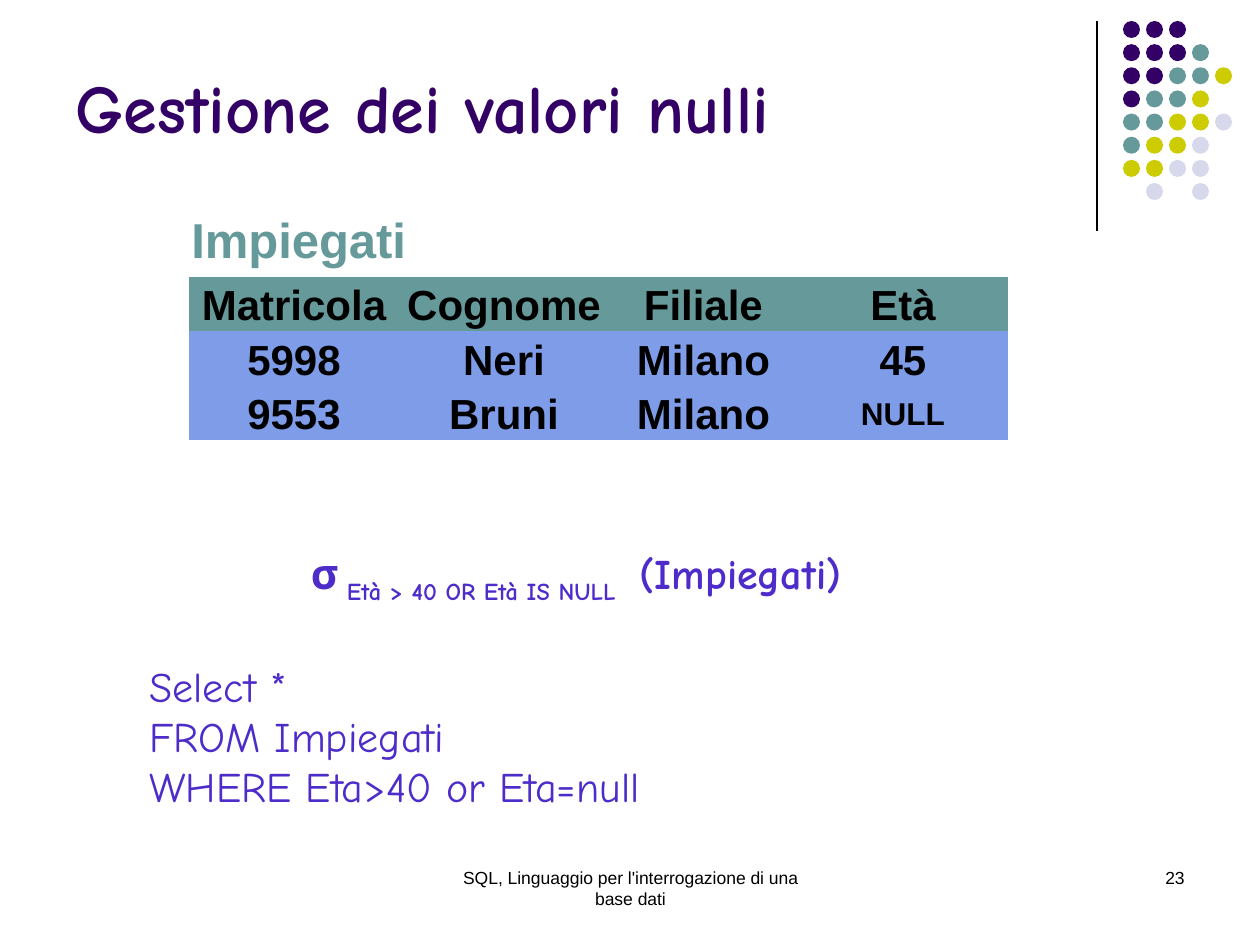
from lxml import etree
from pptx import Presentation
from pptx.dml.color import RGBColor
from pptx.enum.shapes import MSO_CONNECTOR, MSO_SHAPE
from pptx.enum.text import MSO_ANCHOR, PP_ALIGN
from pptx.oxml.ns import qn
from pptx.util import Emu, Pt

STRAIGHT, OVAL = MSO_CONNECTOR.STRAIGHT, MSO_SHAPE.OVAL
TOP, MIDDLE = MSO_ANCHOR.TOP, MSO_ANCHOR.MIDDLE
LEFT, CENTER, RIGHT = PP_ALIGN.LEFT, PP_ALIGN.CENTER, PP_ALIGN.RIGHT

BLACK = RGBColor(0x00, 0x00, 0x00)
PURPLE = RGBColor(0x33, 0x00, 0x66)
TEAL = RGBColor(0x66, 0x99, 0x99)
OLIVE = RGBColor(0xCC, 0xCC, 0x00)
LAVENDER = RGBColor(0xD8, 0xD8, 0xEC)
VIOLET = RGBColor(0x4E, 0x2C, 0xCA)
BLUE = RGBColor(0x7E, 0x9C, 0xE8)

SANS, COMIC = "Arial", "Comic Neue"
PLAIN_TABLE_STYLE = "{2D5ABB26-0587-4C30-8999-92F81FD0307C}"
DOT_COLORS = {"P": PURPLE, "T": TEAL, "O": OLIVE, "L": LAVENDER}
DOT_ROWS = ["PPP", "PPPT", "PPTTO", "PTTO", "TTOOL", "TOOL", "OOLL", " L L"]
DOT_SIZE = 17
COLUMN_WIDTHS = [210, 210, 189, 210]
EMPLOYEES = [
    ["Matricola", "Cognome", "Filiale", "Età"],
    ["5998", "Neri", "Milano", "45"],
    ["9553", "Bruni", "Milano", "NULL"],
]
QUERY = ["Select *", "FROM Impiegati", "WHERE Eta>40 or Eta=null"]


def px(length):
    """Turn px at 126 to the inch into EMU."""
    return Emu(round(length * 914400 / 126))


def style_font(font, size, name, color, bold=False):
    """Set size, typeface, colour and weight of a font."""
    font.size, font.name, font.bold = Pt(size), name, bold
    font.color.rgb = color


def add_text(slide, box, lines, size, name, color, bold=False,
             align=LEFT, anchor=TOP, wrap=True):
    """Add a text box with one paragraph per line and return its frame."""
    frame = slide.shapes.add_textbox(*map(px, box)).text_frame
    frame.word_wrap, frame.vertical_anchor = wrap, anchor
    frame.text = "\n".join(lines)
    for paragraph in frame.paragraphs:
        paragraph.alignment = align
        for run in paragraph.runs:
            style_font(run.font, size, name, color, bold)
    return frame


def add_divider(slide, box):
    """Draw the thin vertical rule down the left edge of the box."""
    left, top, _, height = box
    line = slide.shapes.add_connector(
        STRAIGHT, px(left), px(top), px(left), px(top + height))
    line.line.color.rgb, line.line.width = BLACK, Pt(0.75)
    etree.SubElement(line._element.spPr, qn("a:effectLst"))


def add_dots(slide, box):
    """Spread the coloured dot pattern evenly over the box."""
    left, top, width, height = box
    column_step = (width - DOT_SIZE) / (max(map(len, DOT_ROWS)) - 1)
    row_step = (height - DOT_SIZE) / (len(DOT_ROWS) - 1)
    for row, codes in enumerate(DOT_ROWS):
        for column, code in enumerate(codes):
            if code not in DOT_COLORS:
                continue
            dot = slide.shapes.add_shape(
                OVAL, px(left + column * column_step), px(top + row * row_step),
                px(DOT_SIZE), px(DOT_SIZE))
            dot.shadow.inherit = False
            dot.fill.solid()
            dot.fill.fore_color.rgb = DOT_COLORS[code]
            dot.line.fill.background()


def style_cell(cell, text, fill):
    """Fill a table cell and set its centred bold text."""
    cell.text = text
    cell.fill.solid()
    cell.fill.fore_color.rgb = fill
    cell.vertical_anchor = MIDDLE
    cell.margin_left = cell.margin_right = cell.margin_bottom = 0
    cell.margin_top = px(4)
    paragraph = cell.text_frame.paragraphs[0]
    paragraph.alignment = CENTER
    size = 18 if text == "NULL" else 24
    style_font(paragraph.runs[0].font, size, SANS, BLACK, True)


def add_employees(slide, box):
    """Add the employee table with equal rows inside the box."""
    table = slide.shapes.add_table(
        len(EMPLOYEES), len(COLUMN_WIDTHS), *map(px, box)).table
    table._tbl.tblPr.find(qn("a:tableStyleId")).text = PLAIN_TABLE_STYLE
    table.horz_banding = False
    for column, width in zip(table.columns, COLUMN_WIDTHS):
        column.width = px(width)
    for row, values in enumerate(EMPLOYEES):
        for column, text in enumerate(values):
            style_cell(table.cell(row, column), text, BLUE if row else TEAL)


def add_selection(slide, box):
    """Add the relational selection with its condition as a subscript."""
    frame = add_text(slide, box, ["σ"], 24, COMIC, VIOLET, True,
                     CENTER, MIDDLE, False)
    paragraph = frame.paragraphs[0]
    for text, baseline in [(" Età > 40 OR Età IS NULL ", "-25000"),
                           (" (Impiegati)", "0")]:
        run = paragraph.add_run()
        run.text = text
        style_font(run.font, 24, COMIC, VIOLET, True)
        run.font._element.set("baseline", baseline)


def build_slide(slide):
    """Place every region on the slide."""
    add_divider(slide, (1097, 21, 0, 210))
    add_dots(slide, (1123, 21, 109, 179))
    add_text(slide, (63, 17, 1040, 179), ["Gestione dei valori nulli"],
             39, COMIC, PURPLE, True, anchor=MIDDLE)
    add_text(slide, (179, 205, 280, 67), ["Impiegati"],
             28, SANS, TEAL, True, anchor=MIDDLE)
    add_employees(slide, (189, 277, 819, 158))
    add_selection(slide, (245, 540, 662, 73))
    add_text(slide, (137, 654, 518, 164), QUERY, 24, COMIC, VIOLET, wrap=False)
    add_text(slide, (431, 861, 399, 63),
             ["SQL, Linguaggio per l'interrogazione di una base dati"],
             10, SANS, BLACK, align=CENTER)
    add_text(slide, (903, 861, 294, 63), ["23"], 10, SANS, BLACK, align=RIGHT)


def main():
    """Build and save the presentation."""
    presentation = Presentation()
    presentation.slide_width, presentation.slide_height = px(1260), px(945)
    build_slide(presentation.slides.add_slide(presentation.slide_layouts[6]))
    presentation.save("out.pptx")


if __name__ == "__main__":
    main()
